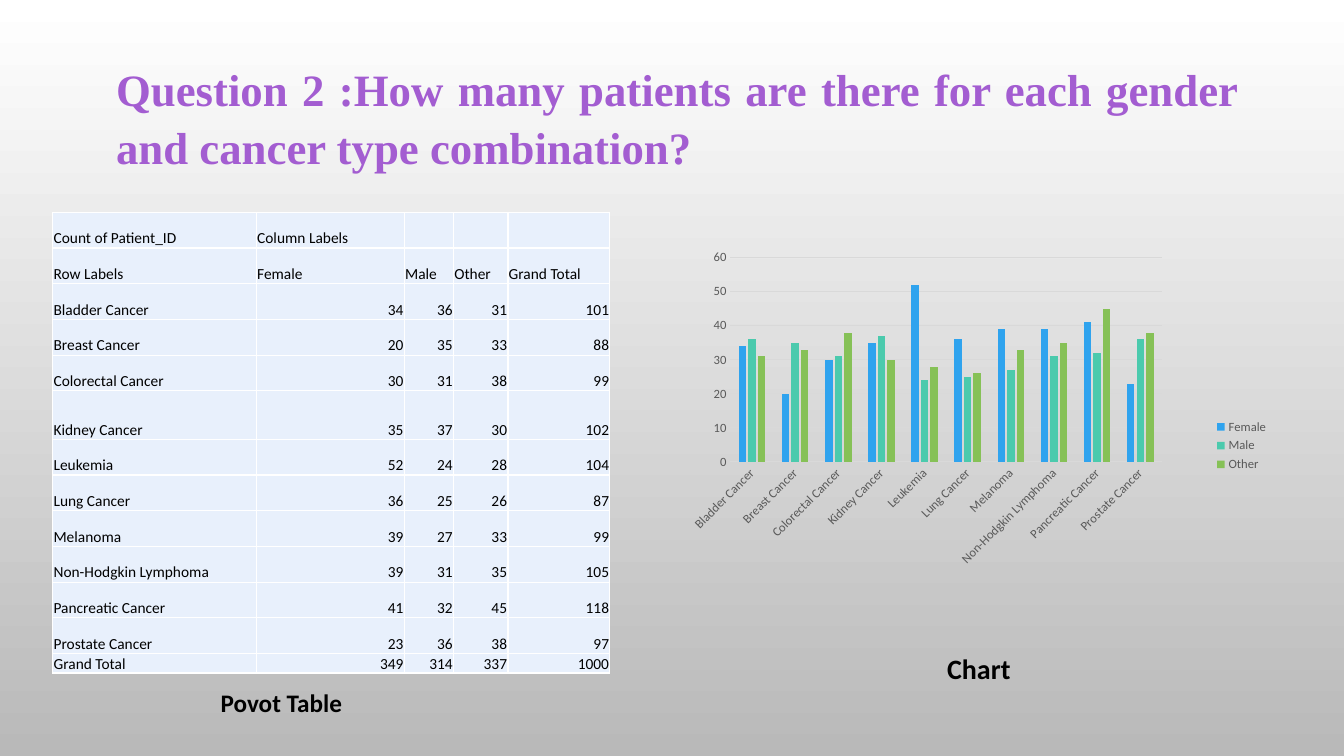
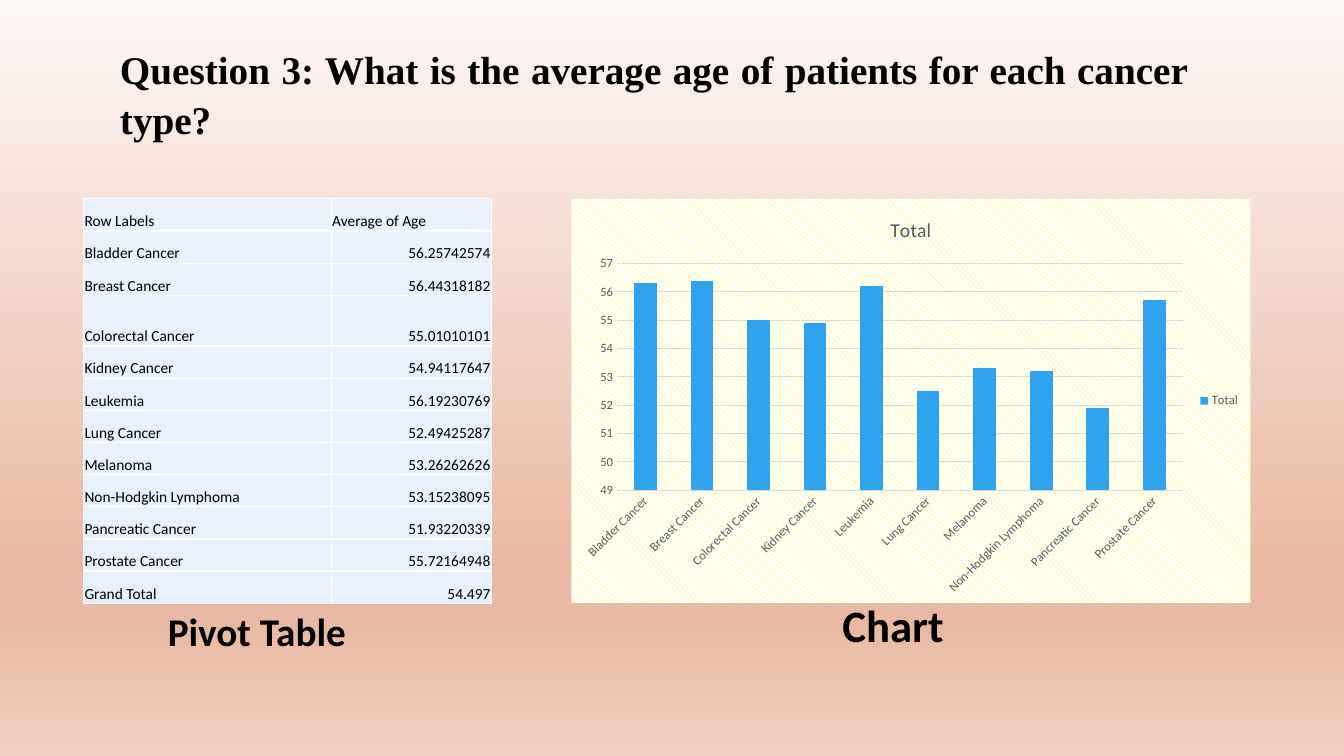
from pptx import Presentation
from pptx.chart.data import CategoryChartData
from pptx.dml.color import RGBColor
from pptx.enum.chart import XL_CHART_TYPE as ChartType, XL_LEGEND_POSITION as LegendSide, XL_TICK_MARK as Tick
from pptx.enum.text import MSO_ANCHOR as Anchor, MSO_AUTO_SIZE as AutoSize, PP_ALIGN as Align
from pptx.oxml import parse_xml
from pptx.oxml.ns import nsdecls
from pptx.util import Cm, Pt

BODY_FONT, TITLE_FONT = "Calibri", "Times New Roman"
BLACK, GREY, GRID, WHITE, CELL = "000000", "595959", "D9D9D9", "FFFFFF", "E8F0FC"
SERIES_COLORS = ["2FA3EE", "4BCAAD", "86C157"]

GENDER_ROWS = [
    ("Count of Patient_ID", "Column Labels", "", "", ""),
    ("Row Labels", "Female", "Male", "Other", "Grand Total"),
    ("Bladder Cancer", 34, 36, 31, 101),
    ("Breast Cancer", 20, 35, 33, 88),
    ("Colorectal Cancer", 30, 31, 38, 99),
    ("Kidney Cancer", 35, 37, 30, 102),
    ("Leukemia", 52, 24, 28, 104),
    ("Lung Cancer", 36, 25, 26, 87),
    ("Melanoma", 39, 27, 33, 99),
    ("Non-Hodgkin Lymphoma", 39, 31, 35, 105),
    ("Pancreatic Cancer", 41, 32, 45, 118),
    ("Prostate Cancer", 23, 36, 38, 97),
    ("Grand Total", 349, 314, 337, 1000),
]
AGE_ROWS = [
    ("Row Labels", "Average of Age"),
    ("Bladder Cancer", 56.25742574),
    ("Breast Cancer", 56.44318182),
    ("Colorectal Cancer", 55.01010101),
    ("Kidney Cancer", 54.94117647),
    ("Leukemia", 56.19230769),
    ("Lung Cancer", 52.49425287),
    ("Melanoma", 53.26262626),
    ("Non-Hodgkin Lymphoma", 53.15238095),
    ("Pancreatic Cancer", 51.93220339),
    ("Prostate Cancer", 55.72164948),
    ("Grand Total", 54.497),
]

SLIDES = [
    {
        "background": [(0, "FFFFFF"), (100, "B9B9B9")],
        "title": {"text": "Question 2 :How many patients are there for each gender and cancer type combination?",
                  "area": (2.67, 1.34, 28.8, 3.12), "size": 32, "color": "A35DD1"},
        "table": {"rows": GENDER_ROWS, "corner": (1.33, 5.35),
                  "widths": [5.13, 3.73, 1.24, 1.37, 2.57],
                  "height": 0.9, "special_heights": {5: 1.22, 12: 0.46}},
        "chart": {"area": (15.99, 5.92, 16.23, 10.62), "header_rows": 2,
                  "series": ["Female", "Male", "Other"], "gap": 219, "overlap": -27,
                  "scale": (0, 60, 10), "axis_line": GRID,
                  "plot": {"x": 0.149, "y": 0.054, "w": 0.67, "h": 0.485}},
        "captions": [("Povot Table", (5.31, 17.2, 6.07, 1.02), 18),
                     ("Chart", (23.62, 16.28, 4.93, 1.12), 20)],
    },
    {
        "background": [(0, "FDF7F5"), (74, "E9BAA3"), (83, "E9BAA3"), (100, "F0D1C2")],
        "title": {"text": "Question 3: What is the average age of patients for each cancer type?",
                  "area": (2.77, 0.93, 27.41, 2.74), "size": 28, "color": BLACK},
        "table": {"rows": AGE_ROWS, "corner": (2.11, 5.01), "widths": [6.24, 4.03],
                  "height": 0.81, "special_heights": {3: 1.28}},
        "chart": {"area": (14.4, 5.01, 17.11, 10.18), "header_rows": 1,
                  "series": ["Total"], "title": "Total", "gap": 150, "overlap": 0,
                  "scale": (49, 57, 1), "pattern": ("wdDnDiag", "FFFF00", WHITE)},
        "captions": [("Pivot Table", (3.98, 15.19, 6.53, 1.45), 28),
                     ("Chart", (20.98, 14.94, 8.38, 1.63), 32)],
    },
]


def rgb(color):
    return RGBColor.from_string(color)


def lengths(values):
    return [Cm(value) for value in values]


def style_font(font, size, color=BLACK, name=BODY_FONT, bold=False):
    font.size, font.name, font.bold = Pt(size), name, bold
    font.color.rgb = rgb(color)


def write(frame, text, size, align=Align.LEFT, spacing=None, after=None, **font_format):
    para = frame.paragraphs[0]
    para.alignment = align
    if spacing:
        para.line_spacing = spacing
    if after:
        para.space_after = Pt(after)
    span = para.add_run()
    span.text = text
    style_font(span.font, size, **font_format)


def fit_frame(frame):
    frame.word_wrap = True
    frame.auto_size = AutoSize.SHAPE_TO_FIT_TEXT
    frame.vertical_anchor = Anchor.TOP


def color_xml(color):
    return f'<a:srgbClr val="{color}"/>'


def set_background(page, stops):
    stop_xml = "".join(f'<a:gs pos="{place * 1000}">{color_xml(color)}</a:gs>' for place, color in stops)
    page.element.cSld.insert(0, parse_xml(
        f'<p:bg {nsdecls("p", "a")}><p:bgPr><a:gradFill rotWithShape="1">'
        f'<a:gsLst>{stop_xml}</a:gsLst><a:lin ang="5400000" scaled="0"/></a:gradFill>'
        '<a:effectLst/></p:bgPr></p:bg>'))


def set_title(page, text, area, size, color):
    title = page.shapes.title
    title.left, title.top, title.width, title.height = lengths(area)
    fit_frame(title.text_frame)
    write(title.text_frame, text, size, align=Align.JUSTIFY, spacing=1.07, after=8,
          color=color, name=TITLE_FONT, bold=True)


def add_caption(page, text, area, size):
    box = page.shapes.add_textbox(*lengths(area))
    fit_frame(box.text_frame)
    write(box.text_frame, text, size, bold=True)


def format_cell(cell, value):
    cell.fill.solid()
    cell.fill.fore_color.rgb = rgb(CELL)
    cell.vertical_anchor = Anchor.BOTTOM
    cell.margin_left = cell.margin_right = cell.margin_top = Cm(0.02)
    cell.margin_bottom = 0
    properties = cell._tc.get_or_add_tcPr()
    for index, side in enumerate("LRTB"):
        properties.insert(index, parse_xml(
            f'<a:ln{side} {nsdecls("a")} w="12700"><a:solidFill>{color_xml(WHITE)}</a:solidFill></a:ln{side}>'))
    if value != "":
        write(cell.text_frame, str(value), 11, align=Align.LEFT if isinstance(value, str) else Align.RIGHT)


def add_pivot_table(page, rows, corner, widths, height, special_heights):
    heights = [special_heights.get(index, height) for index in range(len(rows))]
    area = (*corner, sum(widths), sum(heights))
    table = page.shapes.add_table(len(rows), len(widths), *lengths(area)).table
    table.first_row = table.horz_banding = False
    for column, width in zip(table.columns, widths):
        column.width = Cm(width)
    for row, row_height, values in zip(table.rows, heights, rows):
        row.height = Cm(row_height)
        for cell, value in zip(row.cells, values):
            format_cell(cell, value)


def style_axis(axis, line_color=None):
    axis.major_tick_mark = axis.minor_tick_mark = Tick.NONE
    style_font(axis.tick_labels.font, 9, GREY)
    if line_color:
        axis.format.line.color.rgb = rgb(line_color)
        axis.format.line.width = Pt(0.75)
    else:
        axis.format.line.fill.background()


def set_chart_area(chart, pattern):
    fill = "<a:noFill/>"
    if pattern:
        preset, front, back = pattern
        fill = (f'<a:pattFill prst="{preset}"><a:fgClr>{color_xml(front)}</a:fgClr>'
                f'<a:bgClr>{color_xml(back)}</a:bgClr></a:pattFill>')
    chart.element.xpath("c:chart")[0].addnext(parse_xml(
        f'<c:spPr {nsdecls("c", "a")}>{fill}<a:ln><a:noFill/></a:ln></c:spPr>'))


def set_plot_layout(chart, plot):
    plot_area = chart.element.xpath("c:chart/c:plotArea")[0]
    for layout in plot_area.xpath("c:layout"):
        plot_area.remove(layout)
    modes = '<c:xMode val="edge"/><c:yMode val="edge"/>'
    sizes = "".join(f'<c:{key} val="{value}"/>' for key, value in plot.items())
    plot_area.insert(0, parse_xml(
        f'<c:layout {nsdecls("c")}><c:manualLayout><c:layoutTarget val="inner"/>'
        f'{modes}{sizes}</c:manualLayout></c:layout>'))


def add_column_chart(page, rows, area, header_rows, series, gap, overlap, scale,
                     title=None, axis_line=None, plot=None, pattern=None):
    records = rows[header_rows:-1]
    data = CategoryChartData()
    data.categories = [record[0] for record in records]
    for column, name in enumerate(series, 1):
        data.add_series(name, [round(record[column], 1) for record in records])
    chart = page.shapes.add_chart(ChartType.COLUMN_CLUSTERED, *lengths(area), data).chart
    style_font(chart.font, 10)
    set_chart_area(chart, pattern)
    if title:
        write(chart.chart_title.text_frame, title, 14, align=Align.CENTER, color=GREY)
    else:
        chart.has_title = False
    chart.has_legend = True
    chart.legend.position = LegendSide.RIGHT
    chart.legend.include_in_layout = False
    style_font(chart.legend.font, 9, GREY)

    columns = chart.plots[0]
    columns.gap_width, columns.overlap, columns.vary_by_categories = gap, overlap, False
    for bars, color in zip(columns.series, SERIES_COLORS):
        bars.format.fill.solid()
        bars.format.fill.fore_color.rgb = rgb(color)

    style_axis(chart.category_axis, axis_line)
    chart.element.xpath(".//c:catAx/c:txPr/a:bodyPr")[0].set("rot", "-2700000")
    values = chart.value_axis
    style_axis(values)
    values.minimum_scale, values.maximum_scale, values.major_unit = scale
    values.tick_labels.number_format = "General"
    values.tick_labels.number_format_is_linked = False
    values.major_gridlines.format.line.color.rgb = rgb(GRID)
    values.major_gridlines.format.line.width = Pt(0.75)
    if plot:
        set_plot_layout(chart, plot)


def main():
    deck = Presentation()
    deck.slide_width, deck.slide_height = lengths((33.87, 19.05))
    title_only = deck.slide_layouts[5]
    for content in SLIDES:
        page = deck.slides.add_slide(title_only)
        set_background(page, content["background"])
        set_title(page, **content["title"])
        add_pivot_table(page, **content["table"])
        add_column_chart(page, content["table"]["rows"], **content["chart"])
        for caption in content["captions"]:
            add_caption(page, *caption)
    deck.save("out.pptx")


if __name__ == "__main__":
    main()
